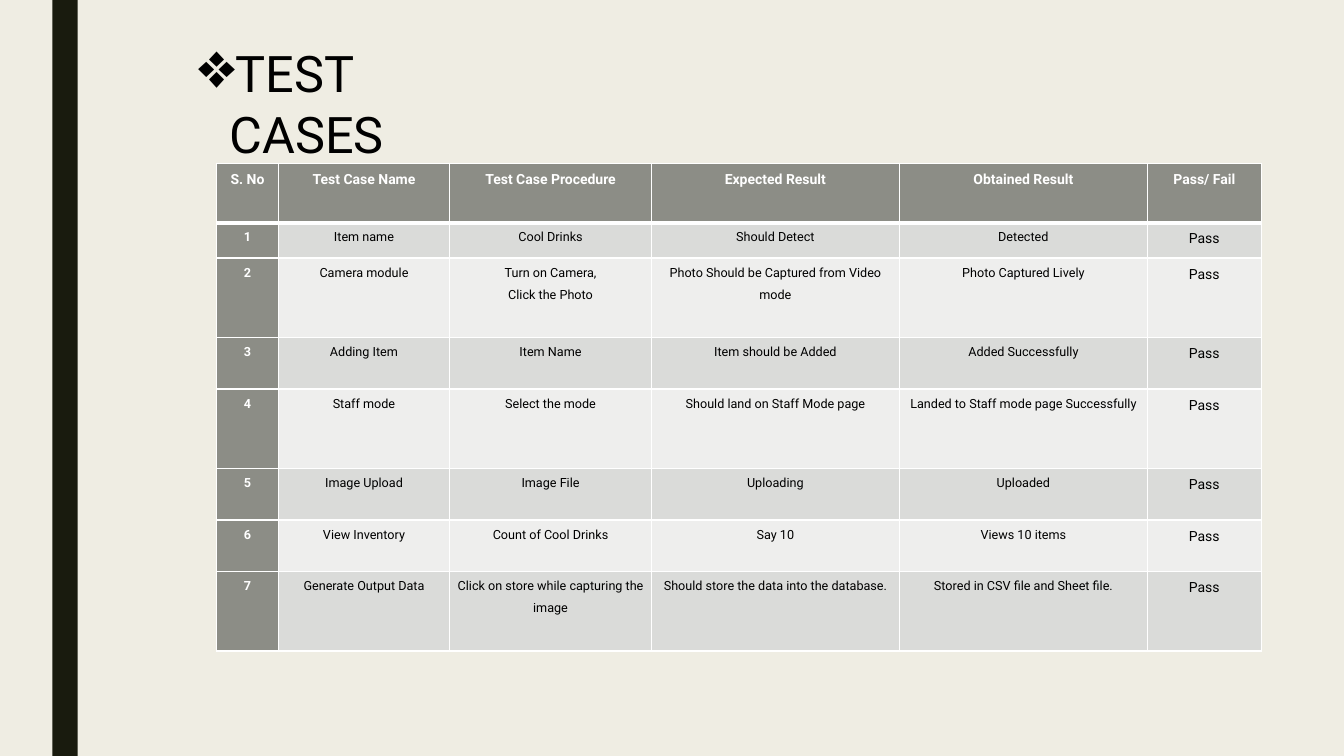
from copy import deepcopy

from lxml.etree import SubElement
from pptx import Presentation
from pptx.dml.color import RGBColor
from pptx.enum.shapes import MSO_SHAPE
from pptx.enum.text import MSO_AUTO_SIZE, PP_ALIGN
from pptx.oxml.ns import qn
from pptx.util import Inches, Pt

FONT = "Roboto"
BACKGROUND, BAR, HEADER = "EFEDE3", "191B0E", "8C8D86"
BANDS = ("DADBD9", "EEEEED")
WHITE, BLACK = "FFFFFF", "000000"

COLUMN_WIDTHS = (0.61, 1.7, 2, 2.46, 2.46, 1.13)
ROW_HEIGHTS = (0.59, 0.35, 0.79, 0.51, 0.79, 0.51, 0.51, 0.79)
HEADINGS = ("S. No", "Test Case Name", "Test Case Procedure",
            "Expected Result", "Obtained Result", "Pass/ Fail")
TEST_CASES = (
    ("Item name", "Cool Drinks", "Should Detect", "Detected"),
    ("Camera module", "Turn on Camera,\nClick the Photo",
     "Photo Should be Captured from Video mode", "Photo Captured Lively"),
    ("Adding Item", "Item Name", "Item should be Added", "Added Successfully"),
    ("Staff mode", "Select the mode", "Should land on Staff Mode page",
     "Landed to Staff mode page Successfully"),
    ("Image Upload", "Image File", "Uploading", "Uploaded"),
    ("View Inventory", "Count of Cool Drinks", "Say 10", "Views 10 items"),
    ("Generate Output Data", "Click on store while capturing the image",
     "Should store the data into the database.",
     "Stored in CSV file and Sheet file."),
)


def color(value):
    return RGBColor.from_string(value)


def paint(fill, value):
    fill.solid()
    fill.fore_color.rgb = color(value)


def write(paragraph, text, text_color, **formats):
    paragraph.text = text
    for run in paragraph.runs:
        run.font.color.rgb = color(text_color)
        for name, value in {"name": FONT, **formats}.items():
            setattr(run.font, name, value)
    for line_break in paragraph._p.findall(qn("a:br")):
        line_break.append(deepcopy(paragraph.runs[0]._r.rPr))


def add_side_bar(slide, left, top, width, height):
    bar = slide.shapes.add_shape(MSO_SHAPE.RECTANGLE, Inches(left), Inches(top),
                                 Inches(width), Inches(height))
    bar.shadow.inherit = False
    paint(bar.fill, BAR)
    bar.line.fill.background()


def add_title(slide, left, top, width, height):
    title = slide.shapes.add_textbox(Inches(left), Inches(top),
                                     Inches(width), Inches(height))
    frame = title.text_frame
    frame.word_wrap = True
    frame.auto_size = MSO_AUTO_SIZE.SHAPE_TO_FIT_TEXT
    paragraph = frame.paragraphs[0]
    write(paragraph, "TEST CASES", BLACK, size=Pt(36))
    properties = paragraph._p.get_or_add_pPr()
    properties.set("marL", str(Inches(0.31)))
    properties.set("indent", str(Inches(-0.31)))
    SubElement(properties, qn("a:buSzPct"), val="128000")
    SubElement(properties, qn("a:buChar"), char="❖")


def add_borders(cell, row):
    widths = {"lnL": 1, "lnR": 1, "lnT": 3 if row == 1 else 1,
              "lnB": 3 if row == 0 else 1}
    for side, width in widths.items():
        line = SubElement(cell._tc.get_or_add_tcPr(), qn(f"a:{side}"), w=str(Pt(width)))
        fill = SubElement(line, qn("a:solidFill"))
        SubElement(fill, qn("a:srgbClr"), val=WHITE)


def fill_cell(cell, text, row, column):
    add_borders(cell, row)
    is_heading = row == 0 or column == 0
    paint(cell.fill, HEADER if is_heading else BANDS[(row - 1) % 2])
    margins = {"margin_left": 0.06, "margin_right": 0.06,
               "margin_top": 0, "margin_bottom": 0}
    for name, value in margins.items():
        setattr(cell, name, Inches(value))
    paragraph = cell.text_frame.paragraphs[0]
    paragraph.alignment = PP_ALIGN.CENTER
    paragraph.line_spacing = 1.5
    is_large = row == 0 or column == len(HEADINGS) - 1
    write(paragraph, text, WHITE if is_heading else BLACK,
          size=Pt(10 if is_large else 9), bold=is_heading)


def add_test_table(slide, left, top, width, height):
    rows = [HEADINGS] + [(str(number), *case, "Pass")
                         for number, case in enumerate(TEST_CASES, 1)]
    table = slide.shapes.add_table(len(rows), len(HEADINGS), Inches(left), Inches(top),
                                   Inches(width), Inches(height)).table
    for column, column_width in zip(table.columns, COLUMN_WIDTHS):
        column.width = Inches(column_width)
    for row, row_height in zip(table.rows, ROW_HEIGHTS):
        row.height = Inches(row_height)
    for row, texts in enumerate(rows):
        for column, text in enumerate(texts):
            fill_cell(table.cell(row, column), text, row, column)


def main():
    presentation = Presentation()
    presentation.slide_width = Inches(13.33)
    presentation.slide_height = Inches(7.5)
    slide = presentation.slides.add_slide(presentation.slide_layouts[6])
    paint(slide.background.fill, BACKGROUND)
    add_side_bar(slide, 0.52, 0, 0.25, 7.5)
    add_test_table(slide, 2.15, 1.62, sum(COLUMN_WIDTHS), sum(ROW_HEIGHTS))
    add_title(slide, 1.87, 0.37, 3.24, 0.71)
    presentation.save("out.pptx")


if __name__ == "__main__":
    main()
